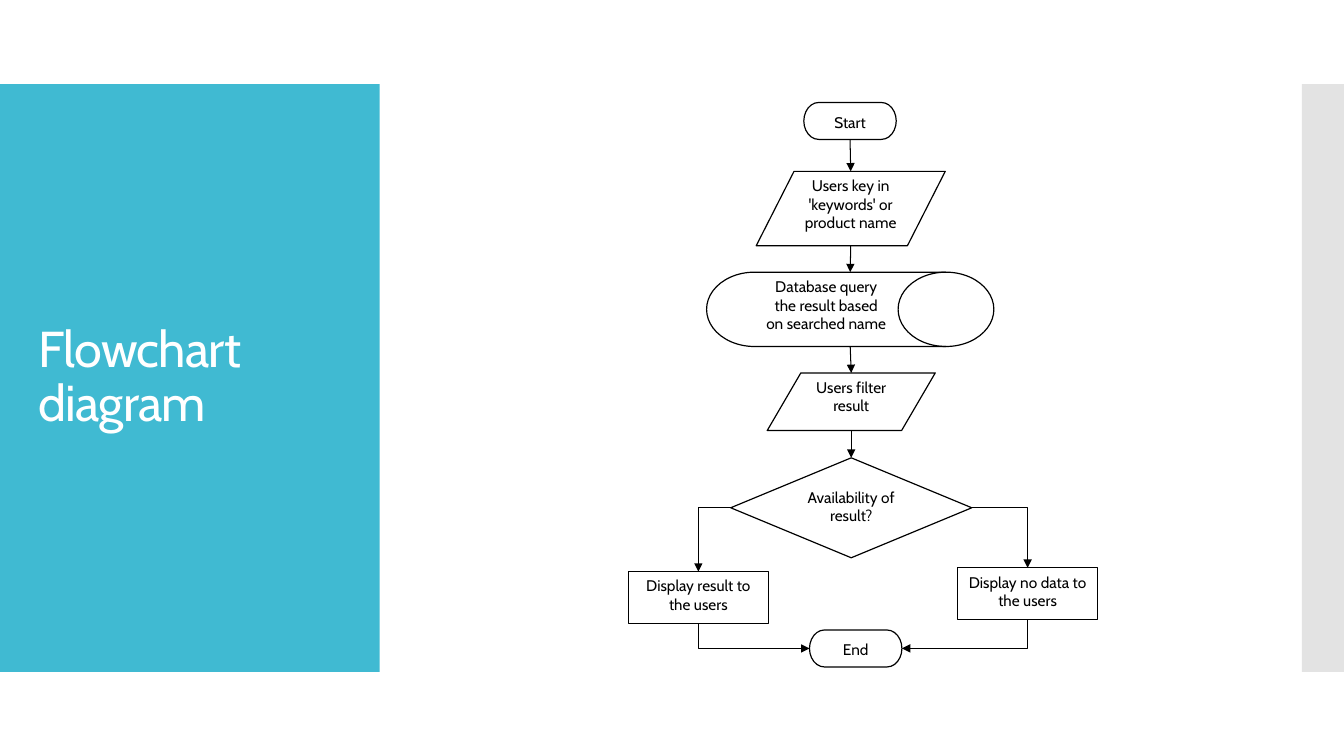
"""Build the flowchart slide on a grid of 160 columns by 90 rows."""
from dataclasses import dataclass
from itertools import pairwise

from lxml.etree import SubElement
from pptx import Presentation
from pptx.dml.color import RGBColor
from pptx.enum.shapes import MSO_CONNECTOR, MSO_SHAPE
from pptx.enum.text import MSO_ANCHOR, PP_ALIGN
from pptx.oxml.ns import qn
from pptx.shapes.autoshape import Shape
from pptx.shapes.connector import Connector
from pptx.shapes.shapetree import SlideShapes
from pptx.util import Emu, Inches, Pt

COLS, ROWS = 160, 90
WIDTH, HEIGHT = Inches(40 / 3), Inches(7.5)
TOP, LEFT, BOTTOM, RIGHT = range(4)


@dataclass(frozen=True)
class Theme:
    font: str = "Cabin"
    panel: RGBColor = RGBColor(0x40, 0xBA, 0xD2)
    strip: RGBColor = RGBColor(0xC8, 0xC8, 0xC8)
    white: RGBColor = RGBColor(0xFF, 0xFF, 0xFF)
    ink: RGBColor = RGBColor(0, 0, 0)
    title: Pt = Pt(36)
    label: Pt = Pt(11)
    edge: Pt = Pt(0.85)
    arrow: Pt = Pt(0.75)


@dataclass(frozen=True)
class Step:
    text: str
    kind: MSO_SHAPE
    mid: float
    top: float
    wide: float
    high: float
    solid: bool = False

    @property
    def base(self) -> float:
        return self.top + self.high


@dataclass(frozen=True)
class Bend:
    start: Step
    side: int
    goal: Step
    port: int
    tip: str


THEME = Theme()

START = Step("Start", MSO_SHAPE.FLOWCHART_TERMINATOR, 101.2, 12.2, 11, 4.4)
ENTRY = Step("Users key in 'keywords' or product name",
             MSO_SHAPE.FLOWCHART_DATA, 101.28, 20.4, 22.5, 8.85)
QUERY = Step("Database query the result based on searched name",
             MSO_SHAPE.FLOWCHART_DIRECT_ACCESS_STORAGE, 101.22, 32.4, 34.2, 8.85)
FILTER = Step("Users filter result", MSO_SHAPE.FLOWCHART_DATA, 101.34, 44.4, 20, 6.85)
CHECK = Step("Availability of result?", MSO_SHAPE.FLOWCHART_DECISION,
             101.34, 54.5, 28.7, 11.9, True)
FOUND = Step("Display result to the users", MSO_SHAPE.FLOWCHART_PROCESS,
             83.14, 68.05, 16.7, 6.15, True)
EMPTY = Step("Display no data to the users", MSO_SHAPE.FLOWCHART_PROCESS,
             122.34, 67.6, 16.7, 6.15, True)
END = Step("End", MSO_SHAPE.FLOWCHART_TERMINATOR, 101.88, 75, 11, 4.4)

SPINE = (START, ENTRY, QUERY, FILTER, CHECK)
BENDS = (
    Bend(CHECK, LEFT, FOUND, TOP, "tailEnd"),
    Bend(CHECK, RIGHT, EMPTY, TOP, "tailEnd"),
    Bend(END, RIGHT, EMPTY, BOTTOM, "headEnd"),
    Bend(END, LEFT, FOUND, BOTTOM, "headEnd"),
)


def col(count: float) -> Emu:
    return Emu(round(WIDTH * count / COLS))


def row(count: float) -> Emu:
    return Emu(round(HEIGHT * count / ROWS))


def add_block(shapes: SlideShapes, left: float, wide: float, color: RGBColor) -> Shape:
    block = shapes.add_shape(MSO_SHAPE.RECTANGLE, col(left), row(10), col(wide), row(70))
    block.shadow.inherit = False
    block.fill.solid()
    block.fill.fore_color.rgb = color
    block.line.fill.background()
    return block


def add_title(shapes: SlideShapes, text: str) -> None:
    frame = shapes.add_textbox(col(3.4), row(14.8), col(38.6), row(60.4)).text_frame
    frame.word_wrap = True
    frame.vertical_anchor = MSO_ANCHOR.MIDDLE
    line = frame.paragraphs[0]
    line.text = text
    line.line_spacing = 0.9
    font = line.font
    font.name, font.size = THEME.font, THEME.title
    font.color.rgb = THEME.white
    line._p.pPr.find(qn("a:defRPr")).set("spc", "-60")


def add_step(shapes: SlideShapes, step: Step) -> Shape:
    shape = shapes.add_shape(step.kind, col(step.mid - step.wide / 2), row(step.top),
                             col(step.wide), row(step.high))
    shape.shadow.inherit = False
    if step.solid:
        shape.fill.solid()
        shape.fill.fore_color.rgb = THEME.white
    else:
        shape.fill.background()
    shape.line.color.rgb = THEME.ink
    shape.line.width = THEME.edge
    frame = shape.text_frame
    frame.word_wrap = True
    frame.vertical_anchor = MSO_ANCHOR.TOP
    line = frame.paragraphs[0]
    line.text = step.text
    line.alignment = PP_ALIGN.CENTER
    font = line.font
    font.name, font.size = THEME.font, THEME.label
    font.color.rgb = THEME.ink
    return shape


def style_arrow(arrow: Connector, tip: str) -> None:
    arrow.line.color.rgb = THEME.ink
    arrow.line.width = THEME.arrow
    props = arrow._element.spPr
    SubElement(props.find(qn("a:ln")), qn(f"a:{tip}"), type="triangle")
    SubElement(props, qn("a:effectLst"))


def add_drop(shapes: SlideShapes, upper: Step, lower: Step) -> None:
    arrow = shapes.add_connector(MSO_CONNECTOR.STRAIGHT, col(upper.mid), row(upper.base),
                                 col(lower.mid), row(lower.top))
    style_arrow(arrow, "tailEnd")


def add_bend(shapes: SlideShapes, bend: Bend, drawn: dict[Step, Shape]) -> None:
    arrow = shapes.add_connector(MSO_CONNECTOR.ELBOW, 0, 0, 0, 0)
    arrow.begin_connect(drawn[bend.start], bend.side)
    arrow.end_connect(drawn[bend.goal], bend.port)
    arrow._element.spPr.find(qn("a:prstGeom")).set("prst", "bentConnector2")
    style_arrow(arrow, bend.tip)


def main() -> None:
    deck = Presentation()
    deck.slide_width, deck.slide_height = WIDTH, HEIGHT
    shapes = deck.slides.add_slide(deck.slide_layouts[6]).shapes
    add_block(shapes, 0, 45.2, THEME.panel)
    strip = add_block(shapes, 155, 5, THEME.strip)
    tint = strip._element.spPr.find(qn("a:solidFill")).find(qn("a:srgbClr"))
    SubElement(tint, qn("a:alpha"), val="50000")
    add_title(shapes, "Flowchart diagram")
    drawn = {step: add_step(shapes, step) for step in (*SPINE, FOUND, EMPTY, END)}
    for upper, lower in pairwise(SPINE):
        add_drop(shapes, upper, lower)
    for bend in BENDS:
        add_bend(shapes, bend, drawn)
    deck.save("out.pptx")


if __name__ == "__main__":
    main()
